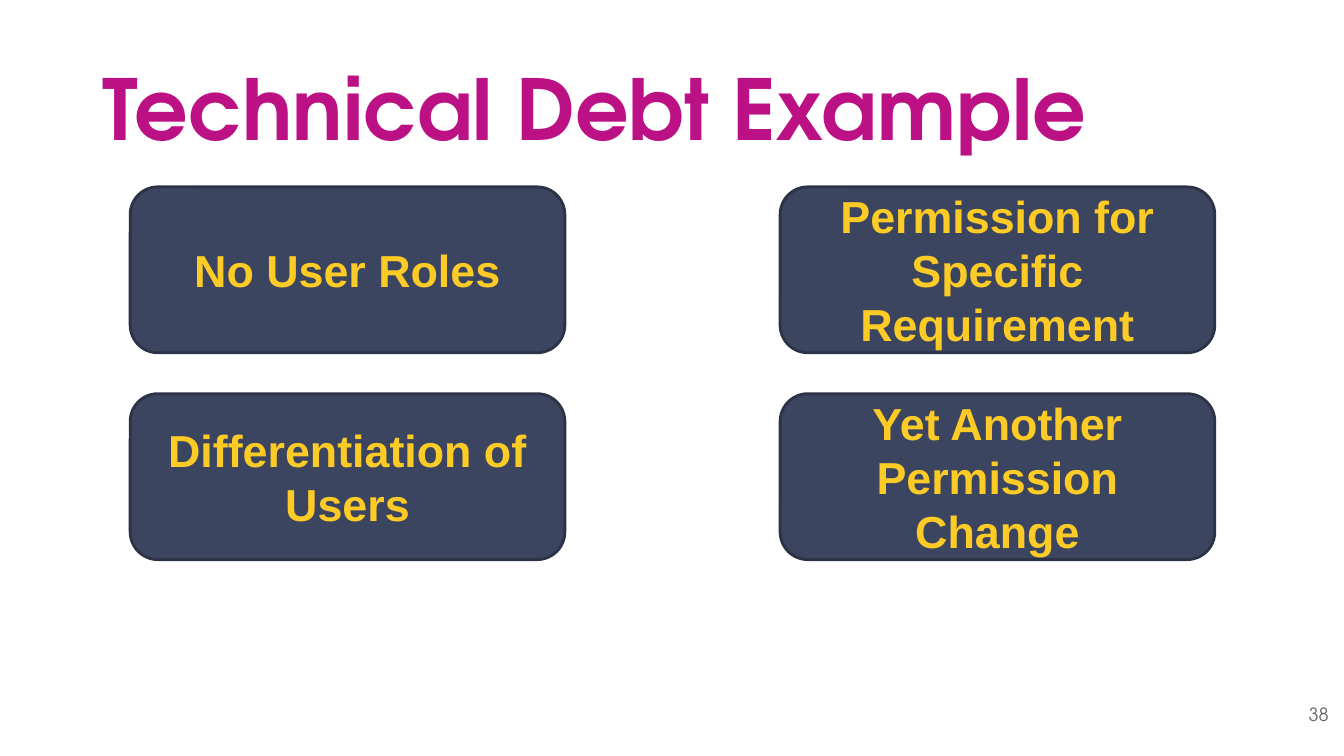
from dataclasses import dataclass

from pptx import Presentation
from pptx.dml.color import RGBColor
from pptx.enum.shapes import MSO_SHAPE
from pptx.enum.text import MSO_ANCHOR, MSO_AUTO_SIZE, PP_ALIGN
from pptx.util import Pt

PX = 9525  # EMU per px, 96 px to the inch


@dataclass(frozen=True)
class Theme:
    title_color: RGBColor = RGBColor.from_string("BC1185")
    number_color: RGBColor = RGBColor.from_string("666666")
    card_fill: RGBColor = RGBColor.from_string("3C4560")
    card_line: RGBColor = RGBColor.from_string("2C3347")
    card_text: RGBColor = RGBColor.from_string("FDCB26")
    heading_font: str = "TeX Gyre Adventor"
    card_font: str = "Arial"
    title_size: int = 60
    card_size: int = 32
    number_size: int = 13


THEME = Theme()
CARDS = [
    ["No User Roles", "Permission for Specific Requirement"],
    ["Differentiation of Users", "Yet Another Permission Change"],
]


def to_emu(*lengths):
    return [length * PX for length in lengths]


def write(shape, text, font, size, color, align, anchor, bold=False):
    frame = shape.text_frame
    frame.text = text
    frame.word_wrap = True
    frame.auto_size = MSO_AUTO_SIZE.NONE
    frame.vertical_anchor = anchor
    para = frame.paragraphs[0]
    para.alignment = align
    span = para.runs[0]
    span.font.name = font
    span.font.size = Pt(size)
    span.font.bold = bold
    span.font.color.rgb = color
    return para


def add_title(page, box, text):
    title = page.shapes.title
    title.left, title.top, title.width, title.height = to_emu(*box)
    para = write(title, text, THEME.heading_font, THEME.title_size,
                 THEME.title_color, PP_ALIGN.LEFT, MSO_ANCHOR.MIDDLE, bold=True)
    para.line_spacing = 0.9


def add_page_number(page, box, number):
    label = page.shapes.add_textbox(*to_emu(*box))
    write(label, number, THEME.heading_font, THEME.number_size,
          THEME.number_color, PP_ALIGN.RIGHT, MSO_ANCHOR.TOP)


def add_card(page, box, text):
    card = page.shapes.add_shape(MSO_SHAPE.ROUNDED_RECTANGLE, *to_emu(*box))
    card.shadow.inherit = False
    card.fill.solid()
    card.fill.fore_color.rgb = THEME.card_fill
    card.line.color.rgb = THEME.card_line
    card.line.width = Pt(2)
    write(card, text, THEME.card_font, THEME.card_size,
          THEME.card_text, PP_ALIGN.CENTER, MSO_ANCHOR.MIDDLE, bold=True)


def add_card_grid(page, box, rows, column_gap, row_gap):
    left, top, width, height = box
    columns = len(rows[0])
    card_width = (width - column_gap * (columns - 1)) // columns
    card_height = (height - row_gap * (len(rows) - 1)) // len(rows)
    for row, texts in enumerate(rows):
        for column, text in enumerate(texts):
            x = left + column * (card_width + column_gap)
            y = top + row * (card_height + row_gap)
            add_card(page, (x, y, card_width, card_height), text)


def main():
    deck = Presentation()
    deck.slide_width, deck.slide_height = to_emu(1280, 720)
    page = deck.slides.add_slide(deck.slide_layouts[5])  # title only
    add_title(page, (88, 38, 1104, 139), "Technical Debt Example")
    add_page_number(page, (1198, 665, 77, 55), "38")
    add_card_grid(page, (124, 178, 1033, 355), CARDS, column_gap=205, row_gap=39)
    deck.save("out.pptx")


if __name__ == "__main__":
    main()
